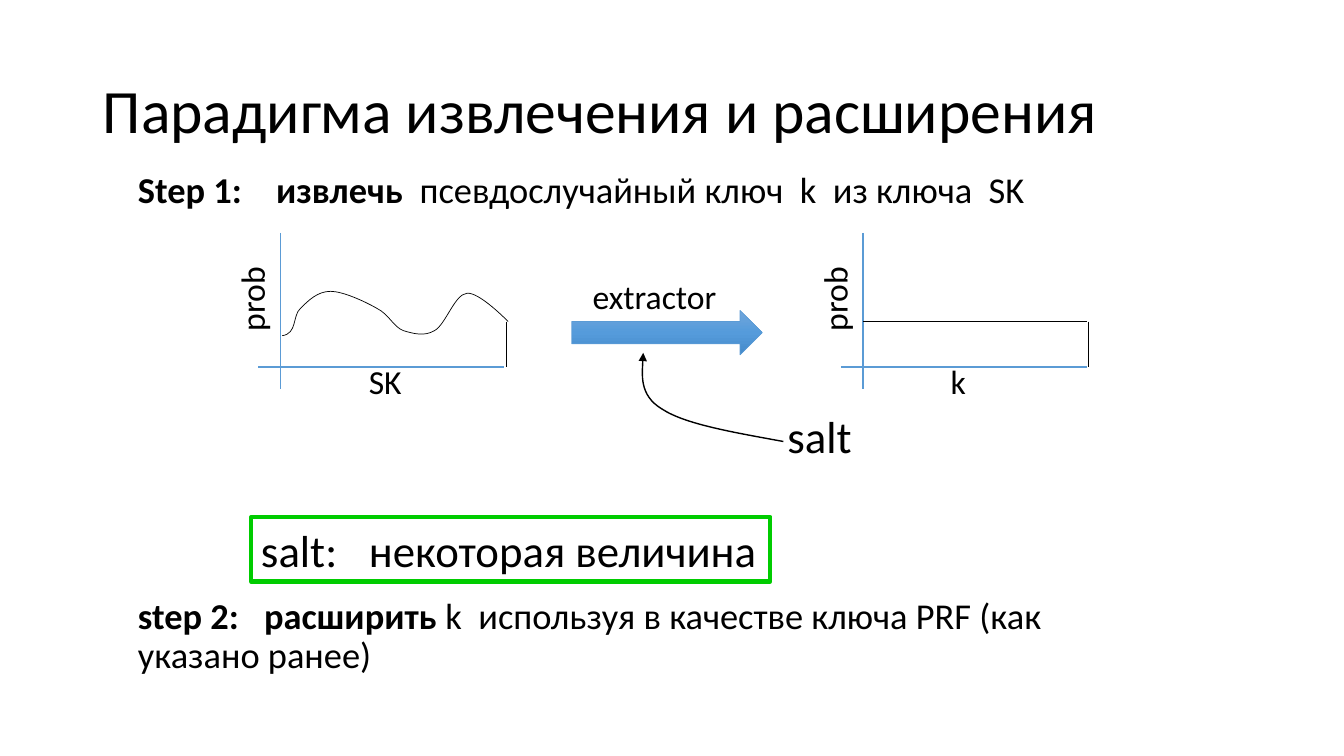
"""Builds a slide on the extract-then-expand paradigm for key derivation."""
from copy import deepcopy

from lxml import etree
from pptx import Presentation
from pptx.dml.color import RGBColor
from pptx.enum import shapes as kinds, text as texts
from pptx.oxml.ns import qn
from pptx.util import Inches, Pt

BLACK = RGBColor(0, 0, 0)
BLUE = RGBColor(0x5B, 0x9B, 0xD5)
GREEN = RGBColor(0, 0xCC, 0)
SHADES = [RGBColor(0x71, 0xA6, 0xDB), RGBColor(0x55, 0x9B, 0xDB), RGBColor(0x44, 0x8A, 0xCA)]

deck = Presentation()
deck.slide_width, deck.slide_height = Inches(13.33), Inches(7.5)
slide = deck.slides.add_slide(deck.slide_layouts[5])
items = slide.shapes


def write(para, runs, size, tab=None):
    for words, bold in runs:
        run = para.add_run()
        run.text = words
        font = run.font
        font.name, font.size, font.bold = "Calibri", Pt(size), bold
        font.color.rgb = BLACK
    if tab:
        stops = etree.SubElement(para._p.get_or_add_pPr(), qn("a:tabLst"))
        etree.SubElement(stops, qn("a:tab"), pos=str(Inches(tab)), algn="l")


def curve(points, width):
    spots = [(Inches(x), Inches(y)) for x, y in points]
    maker = items.build_freeform(*spots[0])
    maker.add_line_segments(spots[1:], close=False)
    shape = maker.convert_to_shape()
    shape.shadow.inherit = False
    shape.fill.background()
    shape.line.color.rgb, shape.line.width = BLACK, Pt(width)
    route = shape._element.find(".//" + qn("a:path"))
    legs = route.findall(qn("a:lnTo"))
    for i in range(0, len(legs), 3):
        bend = etree.SubElement(route, qn("a:cubicBezTo"))
        for leg in legs[i:i + 3]:
            bend.append(leg[0])
            route.remove(leg)
    return shape


title = items.title
title.left, title.top, title.width, title.height = map(Inches, (0.92, 0.4, 11.5, 1.45))
title.text_frame.vertical_anchor = texts.MSO_ANCHOR.MIDDLE
head = title.text_frame.paragraphs[0]
head.alignment, head.line_spacing = texts.PP_ALIGN.LEFT, 0.9
write(head, [("Парадигма извлечения и расширения", False)], 44)

body = items.add_textbox(Inches(1.27), Inches(1.66), Inches(10.12), Inches(5.49)).text_frame
body.word_wrap = True
steps = [
    ("Step 1:\tизвлечь  ", "псевдослучайный ключ  k  из ключа  SK", 0, 1.37),
    ("step 2:\tрасширить ", "k  используя в качестве ключа PRF (как указано ранее)", 276, 1.25),
]
for i, (lead, rest, gap, tab) in enumerate(steps):
    para = body.add_paragraph() if i else body.paragraphs[0]
    para.line_spacing, para.space_before = 0.9, Pt(gap)
    write(para, [(lead, True), (rest, False)], 26, tab)

lines = []
labels = [("extractor", 5.78, 2.69, 1.44, 0.5, 24, 0), ("salt", 7.71, 4.01, 0.85, 0.64, 32, 0)]
for x, name, left, wide in [(2.78, "SK", 3.56, 0.53), (8.56, "k", 9.33, 0.35)]:
    lines += [
        (x, 2.31, x, 3.86, BLUE, 1),
        (x - 0.22, 3.64, x + 2.22, 3.64, BLUE, 1),
        (x + 2.24, 3.19, x + 2.24, 3.64, BLACK, 0.75),
    ]
    labels += [
        ("prob", x - 0.71, 2.71, 0.85, 0.5, 24, 270),
        (name, left, 3.53, wide, 0.5, 24, 0),
    ]
lines.append((10.78, 3.19, 8.56, 3.19, BLACK, 0.75))

for *ends, color, width in lines:
    line = items.add_connector(kinds.MSO_CONNECTOR.STRAIGHT, *map(Inches, ends))
    line.line.color.rgb, line.line.width = color, Pt(width)
    etree.SubElement(line._element.spPr, qn("a:effectLst"))

for words, *place, size, turn in labels:
    label = items.add_textbox(*map(Inches, place))
    label.rotation = turn
    label.text_frame.word_wrap = False
    write(label.text_frame.paragraphs[0], [(words, False)], size)

curve([
    (2.8, 3.33), (2.95, 3.31), (2.9, 3.13), (2.98, 3.06),
    (3.06, 2.98), (3.15, 2.89), (3.28, 2.89),
    (3.4, 2.89), (3.62, 2.99), (3.74, 3.06),
    (3.86, 3.12), (3.9, 3.24), (4, 3.28),
    (4.1, 3.31), (4.21, 3.34), (4.31, 3.28),
    (4.42, 3.22), (4.51, 2.92), (4.63, 2.91),
    (4.75, 2.89), (5.04, 3.19), (5.04, 3.19),
], 0.5)

arrow = items.add_shape(
    kinds.MSO_SHAPE.RIGHT_ARROW, Inches(5.67), Inches(3.08), Inches(1.89), Inches(0.44))
arrow.shadow.inherit = False
arrow.line.color.rgb, arrow.line.width = BLUE, Pt(0.5)
arrow.fill.gradient()
arrow.fill.gradient_angle = 270
stops = arrow._element.spPr.find(".//" + qn("a:gsLst"))
stops.insert(1, deepcopy(stops[0]))
for i, stop in enumerate(arrow.fill.gradient_stops):
    stop.color.rgb, stop.position = SHADES[i], i / 2

hook = curve([
    (7.77, 4.38), (7.28, 4.29), (6.8, 4.21), (6.57, 4.06),
    (6.33, 3.92), (6.38, 3.5), (6.38, 3.5),
], 1)
etree.SubElement(hook.line._get_or_add_ln(), qn("a:tailEnd"), type="triangle")

box = items.add_shape(
    kinds.MSO_SHAPE.RECTANGLE, Inches(2.49), Inches(5.13), Inches(5.15), Inches(0.64))
box.shadow.inherit = False
box.fill.background()
box.line.color.rgb, box.line.width = GREEN, Pt(3)
box.text_frame.word_wrap = True
note = box.text_frame.paragraphs[0]
note.alignment = texts.PP_ALIGN.LEFT
write(note, [("salt:\tнекоторая величина", False)], 32, 1.07)

deck.save("out.pptx")
